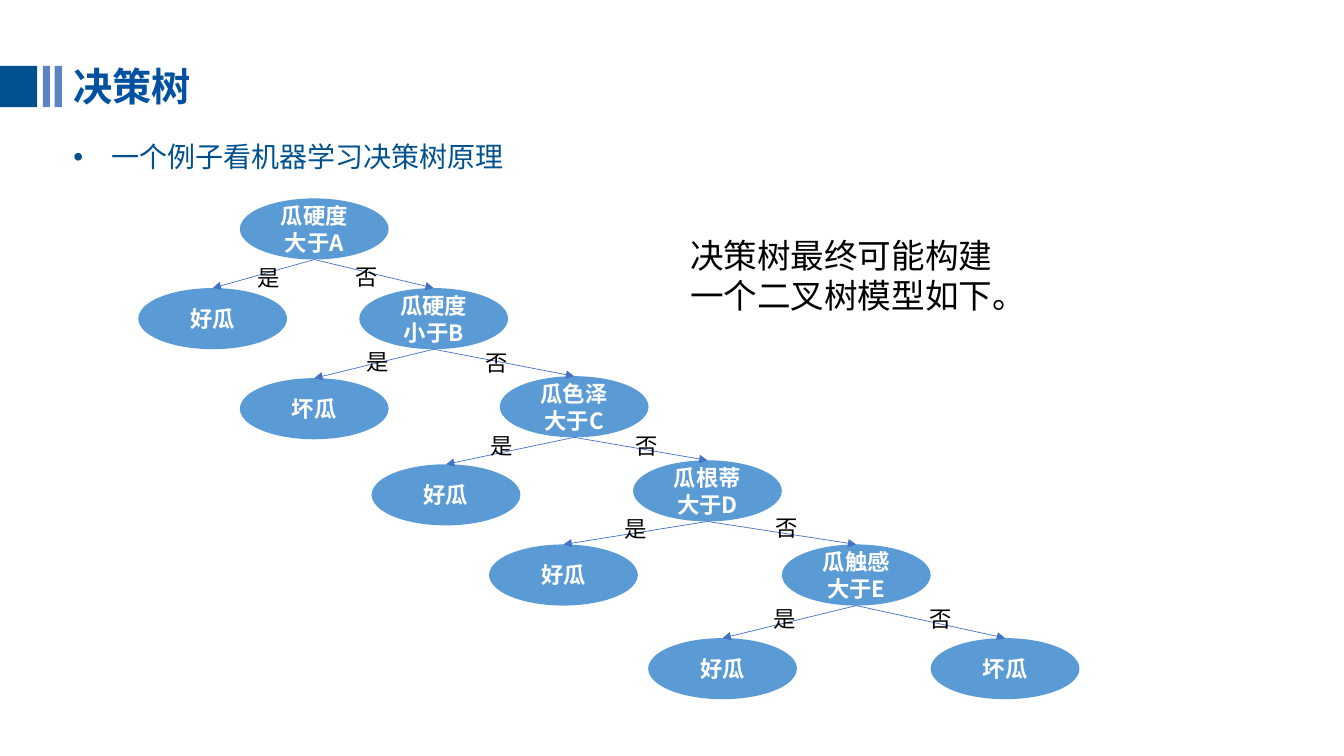
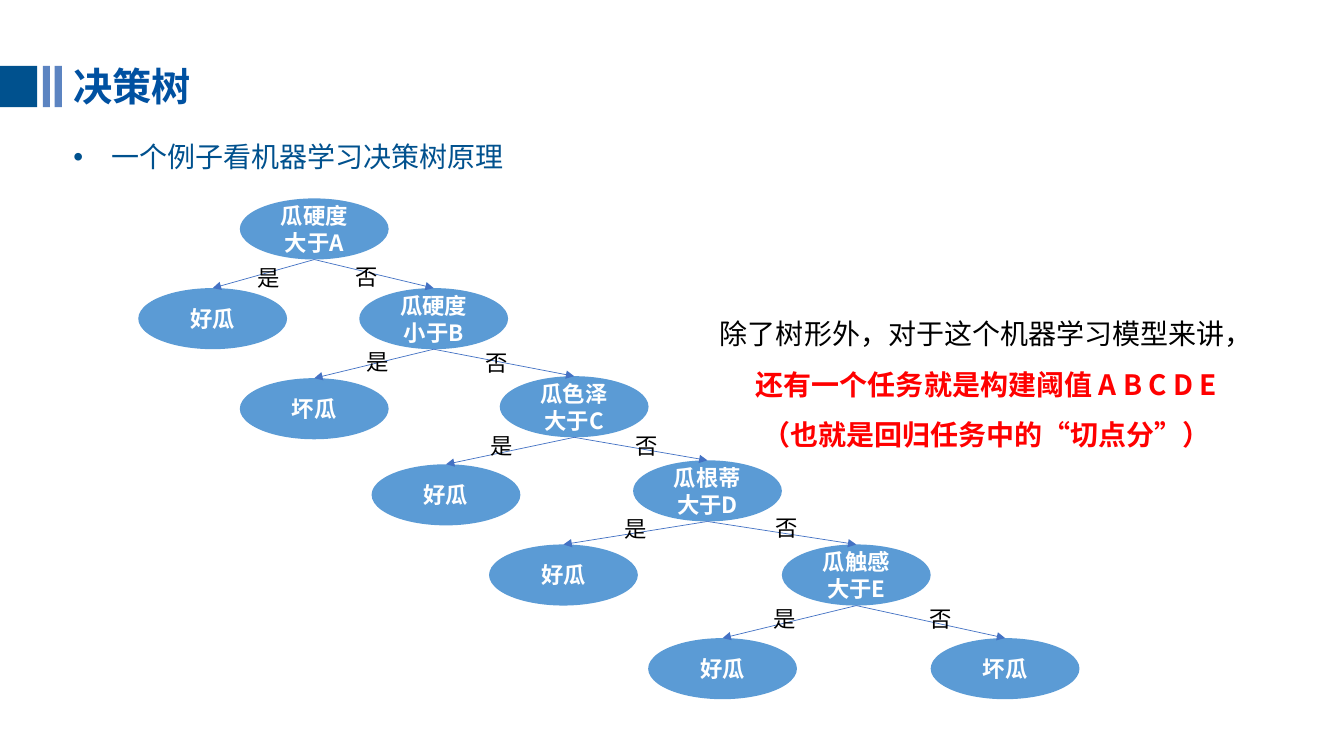
"""Build two slides that show a decision tree for sorting melons."""
from dataclasses import dataclass

import lxml.etree
import pptx
import pptx.dml.color
import pptx.enum.shapes
import pptx.enum.text
import pptx.oxml.ns
import pptx.shapes.autoshape
import pptx.slide
import pptx.text.text
import pptx.util

Cm = pptx.util.Cm
Pt = pptx.util.Pt
qn = pptx.oxml.ns.qn
Kind = pptx.enum.shapes.MSO_SHAPE
Align = pptx.enum.text.PP_ALIGN
Slide = pptx.slide.Slide
Frame = pptx.text.text.TextFrame

FONT = "Noto Sans CJK SC"
COLOURS = {
    "title": "0051A1",
    "band": "00518E",
    "stripe": "5C84C1",
    "node": "5B9BD5",
    "edge": "4472C4",
    "white": "FFFFFF",
    "black": "000000",
    "red": "FF0000",
}
NODE_W, NODE_H = 3.75, 1.54
TAG_W, TAG_H = 1.75, 0.94
LEFT = 1.6


@dataclass
class Node:
    words: str
    mid: float
    top: float


@dataclass
class Edge:
    start: str
    end: str
    words: str
    left: float
    top: float


@dataclass
class Bar:
    left: float
    width: float
    hue: str


BARS = [Bar(0, 0.94, "band"), Bar(1.08, 0.18, "stripe"), Bar(1.38, 0.18, "stripe")]

NODES = {
    "A": Node("瓜硬度\n大于A", 7.92, 5),
    "A yes": Node("好瓜", 5.36, 7.26),
    "B": Node("瓜硬度\n小于B", 10.93, 7.26),
    "B yes": Node("坏瓜", 7.92, 9.53),
    "C": Node("瓜色泽\n大于C", 14.47, 9.48),
    "C yes": Node("好瓜", 11.24, 11.7),
    "D": Node("瓜根蒂大于D", 17.83, 11.6),
    "D yes": Node("好瓜", 14.2, 13.72),
    "E": Node("瓜触感大于E", 21.58, 13.72),
    "E yes": Node("好瓜", 18.21, 16.08),
    "E no": Node("坏瓜", 25.33, 16.08),
}

EDGES = [
    Edge("A", "A yes", "是", 5.9, 6.53),
    Edge("A", "B", "否", 8.36, 6.5),
    Edge("B", "B yes", "是", 8.65, 8.65),
    Edge("B", "C", "否", 11.64, 8.67),
    Edge("C", "C yes", "是", 11.77, 10.77),
    Edge("C", "D", "否", 15.43, 10.77),
    Edge("D", "D yes", "是", 15.15, 12.86),
    Edge("D", "E", "否", 18.96, 12.84),
    Edge("E", "E yes", "是", 18.91, 15.12),
    Edge("E", "E no", "否", 22.84, 15.12),
]


def tint(name: str) -> pptx.dml.color.RGBColor:
    return pptx.dml.color.RGBColor.from_string(COLOURS[name])


def write(frame: Frame, words: str, *, size: float, hue: str = "black",
          bold: bool = False, align: Align = Align.CENTER, space: float = 1,
          join: bool = False, dot: bool = False) -> None:
    for line in words.split("\n"):
        para = frame.paragraphs[-1]
        if para.runs and not join:
            para = frame.add_paragraph()
        para.alignment = align
        para.line_spacing = space
        if dot:
            props = para._p.get_or_add_pPr()
            props.set("marL", str(Cm(0.95)))
            props.set("indent", str(-Cm(0.95)))
            lxml.etree.SubElement(props, qn("a:buFont"), typeface="Arial")
            lxml.etree.SubElement(props, qn("a:buChar"), char="•")
        run = para.add_run()
        run.text = line
        run.font.size = Pt(size)
        run.font.bold = bold
        run.font.color.rgb = tint(hue)
        run.font.name = FONT
        lxml.etree.SubElement(run._r.get_or_add_rPr(), qn("a:ea"), typeface=FONT)


def add_box(slide: Slide, left: float, top: float, width: float, height: float) -> Frame:
    box = slide.shapes.add_textbox(Cm(left), Cm(top), Cm(width), Cm(height))
    frame = box.text_frame
    frame.word_wrap = True
    frame.auto_size = pptx.enum.text.MSO_AUTO_SIZE.SHAPE_TO_FIT_TEXT
    return frame


def add_form(slide: Slide, kind: Kind, left: float, top: float, width: float,
             height: float, hue: str) -> pptx.shapes.autoshape.Shape:
    form = slide.shapes.add_shape(kind, Cm(left), Cm(top), Cm(width), Cm(height))
    form.shadow.inherit = False
    form.fill.solid()
    form.fill.fore_color.rgb = tint(hue)
    form.line.fill.background()
    return form


def add_node(slide: Slide, node: Node) -> None:
    form = add_form(slide, Kind.OVAL, node.mid - NODE_W / 2, node.top,
                    NODE_W, NODE_H, "node")
    form.text_frame.word_wrap = True
    form.text_frame.vertical_anchor = pptx.enum.text.MSO_ANCHOR.MIDDLE
    write(form.text_frame, node.words, size=16, hue="white", bold=True)


def add_edge(slide: Slide, edge: Edge) -> None:
    start, end = NODES[edge.start], NODES[edge.end]
    line = slide.shapes.add_connector(
        pptx.enum.shapes.MSO_CONNECTOR.STRAIGHT,
        Cm(start.mid), Cm(start.top + NODE_H), Cm(end.mid), Cm(end.top))
    line.line.color.rgb = tint("edge")
    line.line.width = Pt(0.5)
    lxml.etree.SubElement(line.line._get_or_add_ln(), qn("a:tailEnd"), type="triangle")
    lxml.etree.SubElement(line._element.spPr, qn("a:effectLst"))


def add_base(slide: Slide) -> None:
    write(add_box(slide, LEFT, 1.45, 9.63, 1.45), "决策树",
          size=28, hue="title", bold=True, align=Align.LEFT)
    for bar in BARS:
        add_form(slide, Kind.RECTANGLE, bar.left, 1.66, bar.width, 1.04, bar.hue)
    write(add_box(slide, LEFT, 3.4, 29.46, 1.12), "一个例子看机器学习决策树原理",
          size=20, hue="band", align=Align.LEFT, dot=True)


def add_tree(slide: Slide) -> None:
    for node in NODES.values():
        add_node(slide, node)
    for edge in EDGES:
        add_edge(slide, edge)
    for edge in EDGES:
        write(add_box(slide, edge.left, edge.top, TAG_W, TAG_H), edge.words, size=16)


def add_slide(deck: pptx.presentation.Presentation) -> Slide:
    slide = deck.slides.add_slide(deck.slide_layouts[6])
    add_base(slide)
    add_tree(slide)
    return slide


def main() -> None:
    deck = pptx.Presentation()
    deck.slide_width, deck.slide_height = Cm(33.87), Cm(19.05)

    model = add_slide(deck)
    write(add_box(model, 16.87, 5.79, 8.66, 2.31),
          "决策树最终可能构建一个二叉树模型如下。", size=24)

    limits = add_slide(deck)
    note = add_box(limits, 17.86, 7.44, 14, 3.96)
    write(note, "除了树形外，对于这个机器学习模型来讲，", size=20, space=1.5)
    write(note, "还有一个任务就是构建阈值 A B C D E", size=20, space=1.5,
          hue="red", bold=True, join=True)
    write(note, "（也就是回归任务中的“切点分”）", size=20, space=1.5,
          hue="red", bold=True)

    deck.save("out.pptx")


if __name__ == "__main__":
    main()
